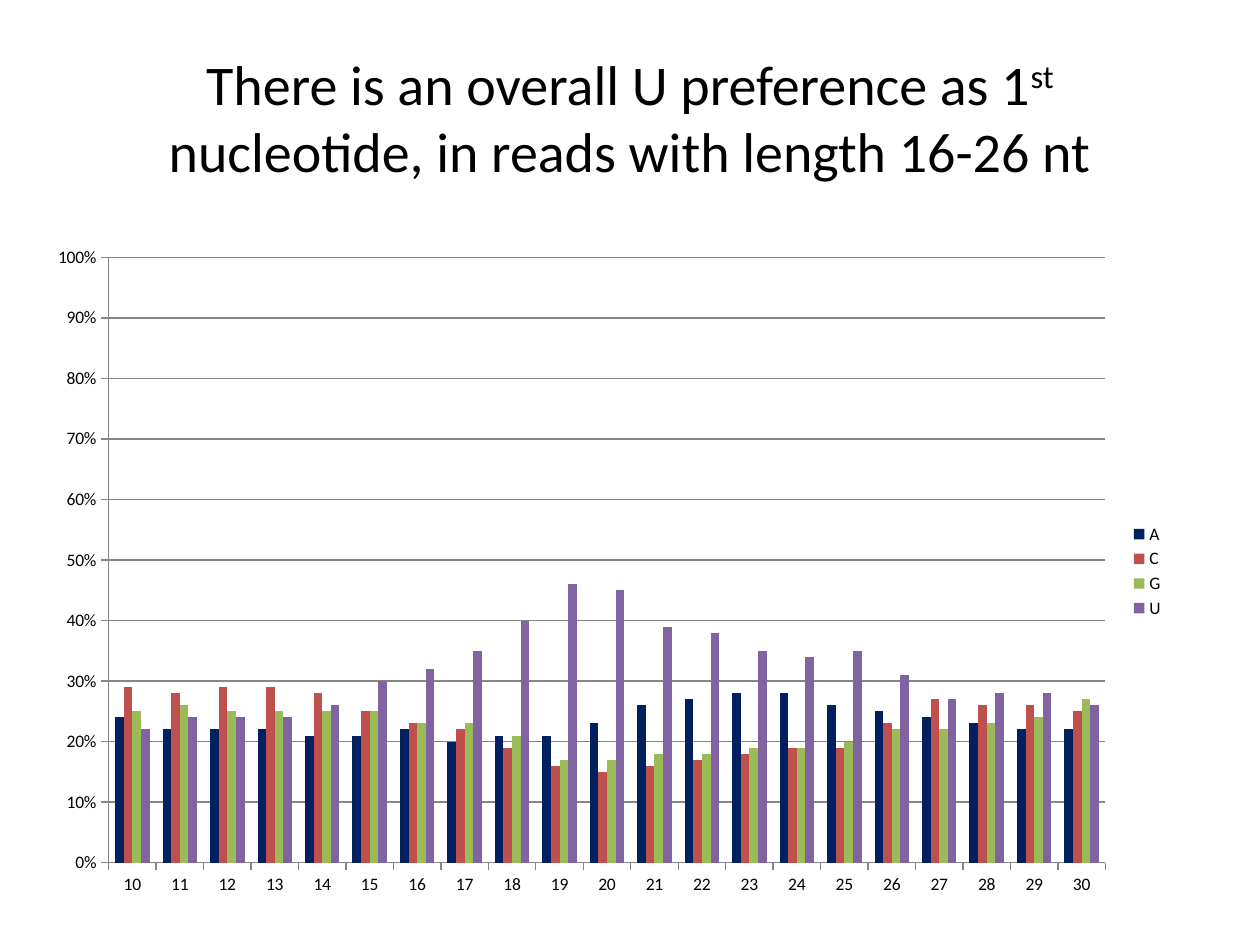
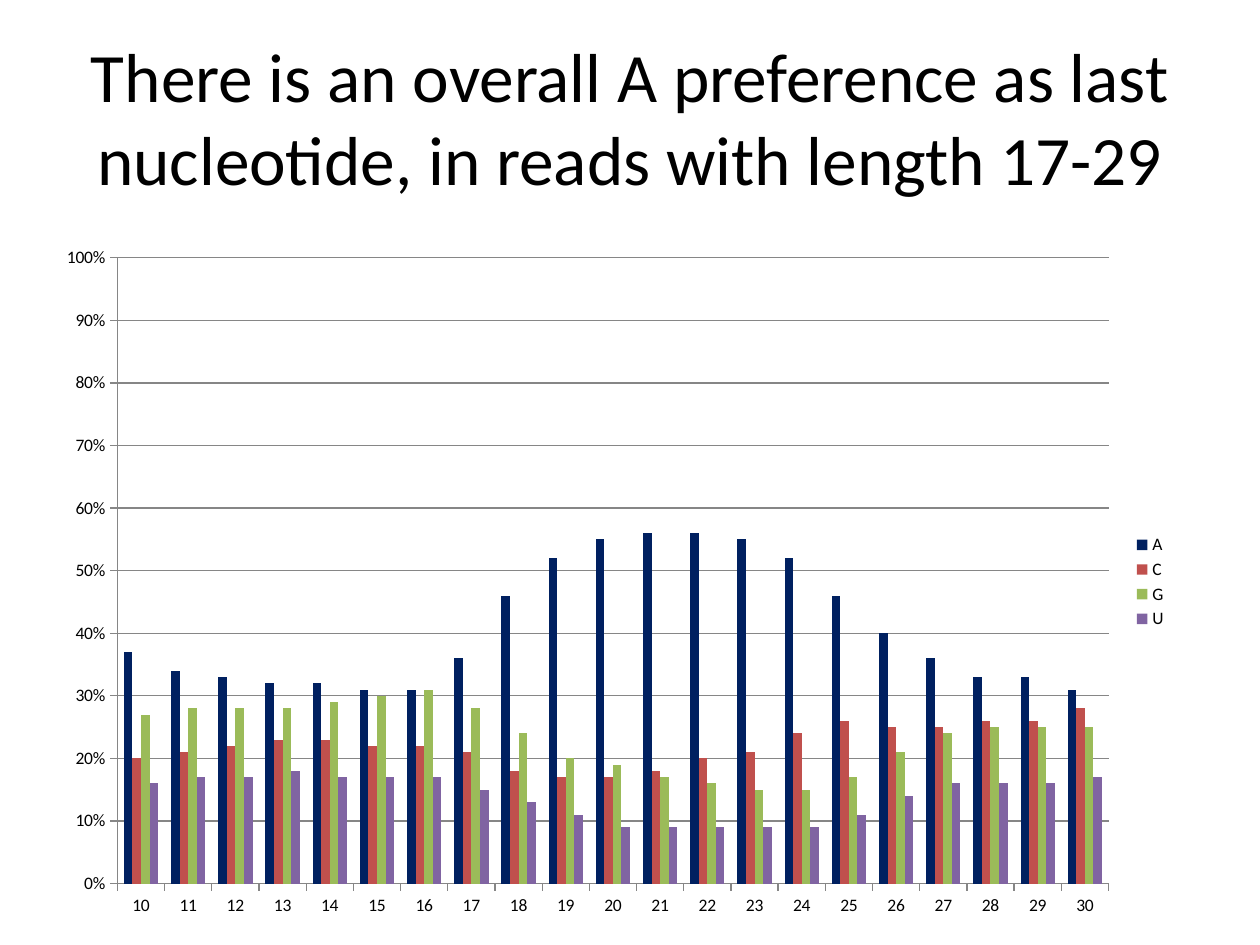
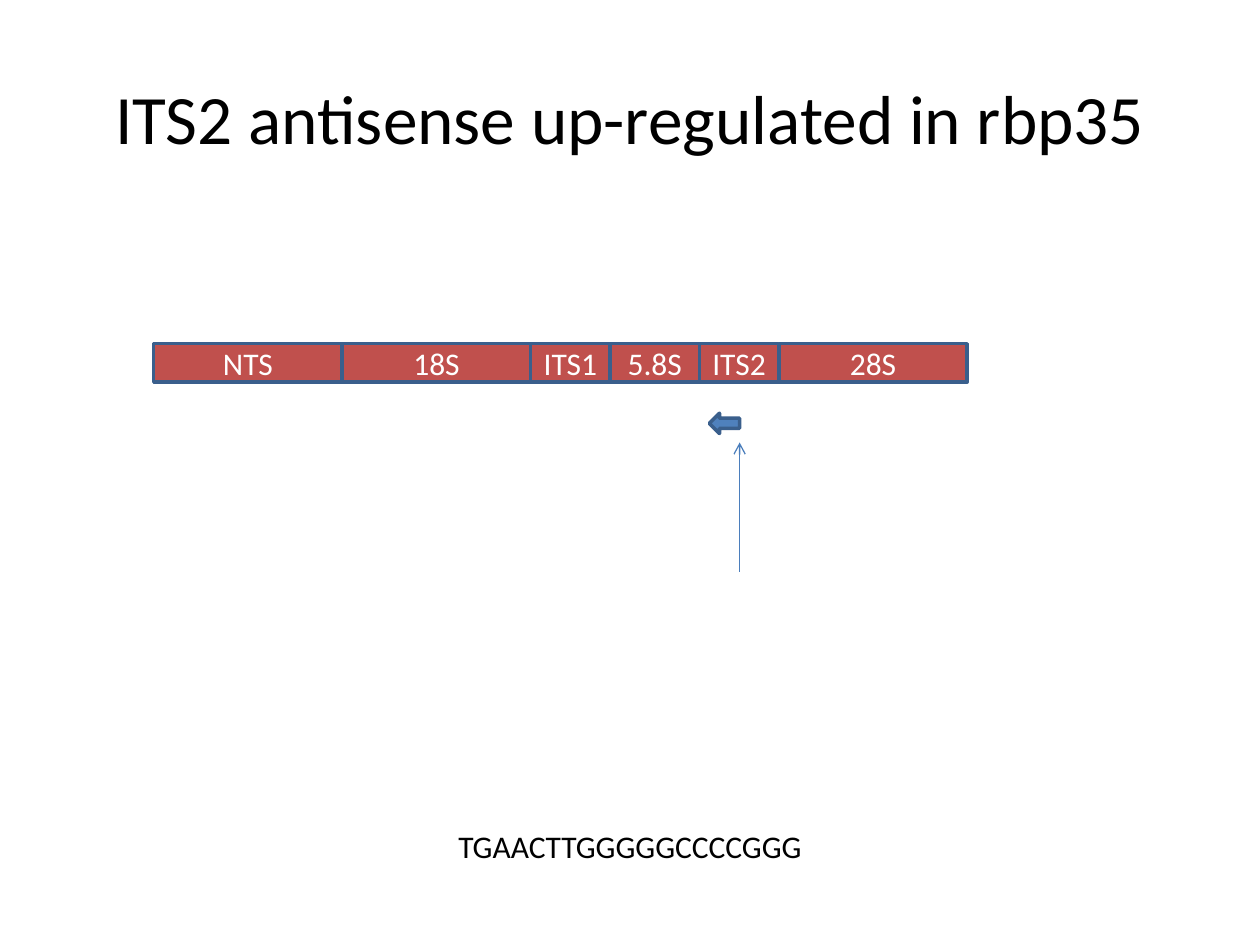
from lxml.etree import SubElement
from pptx import Presentation
from pptx.chart.data import CategoryChartData
from pptx.dml.color import RGBColor
from pptx.enum.chart import XL_CHART_TYPE, XL_LEGEND_POSITION, XL_TICK_MARK
from pptx.enum.shapes import MSO_CONNECTOR, MSO_SHAPE
from pptx.enum.text import MSO_ANCHOR, MSO_AUTO_SIZE, PP_ALIGN
from pptx.oxml.ns import qn
from pptx.util import Cm, Pt

FONT = "Calibri"
BLACK = RGBColor(0x00, 0x00, 0x00)
WHITE = RGBColor(0xFF, 0xFF, 0xFF)
GRAY = RGBColor(0x86, 0x86, 0x86)
NAVY = RGBColor(0x00, 0x20, 0x60)
RED = RGBColor(0xC0, 0x50, 0x4D)
GREEN = RGBColor(0x9B, 0xBB, 0x59)
PURPLE = RGBColor(0x80, 0x64, 0xA2)
BLUE = RGBColor(0x4F, 0x81, 0xBD)
EDGE = RGBColor(0x3A, 0x5F, 0x8C)
ARROW = RGBColor(0x4B, 0x7E, 0xBC)

BASE_COLORS = {"A": NAVY, "C": RED, "G": GREEN, "U": PURPLE}
READ_LENGTHS = [str(n) for n in range(10, 31)]

# Share of reads (%) by nucleotide, for each read length
FIRST_NUCLEOTIDE = {
    "A": [24, 22, 22, 22, 21, 21, 22, 20, 21, 21, 23,
          26, 27, 28, 28, 26, 25, 24, 23, 22, 22],
    "C": [29, 28, 29, 29, 28, 25, 23, 22, 19, 16, 15,
          16, 17, 18, 19, 19, 23, 27, 26, 26, 25],
    "G": [25, 26, 25, 25, 25, 25, 23, 23, 21, 17, 17,
          18, 18, 19, 19, 20, 22, 22, 23, 24, 27],
    "U": [22, 24, 24, 24, 26, 30, 32, 35, 40, 46, 45,
          39, 38, 35, 34, 35, 31, 27, 28, 28, 26],
}
LAST_NUCLEOTIDE = {
    "A": [37, 34, 33, 32, 32, 31, 31, 36, 46, 52, 55,
          56, 56, 55, 52, 46, 40, 36, 33, 33, 31],
    "C": [20, 21, 22, 23, 23, 22, 22, 21, 18, 17, 17,
          18, 20, 21, 24, 26, 25, 25, 26, 26, 28],
    "G": [27, 28, 28, 28, 29, 30, 31, 28, 24, 20, 19,
          17, 16, 15, 15, 17, 21, 24, 25, 25, 25],
    "U": [16, 17, 17, 18, 17, 17, 17, 15, 13, 11, 9,
          9, 9, 9, 9, 11, 14, 16, 16, 16, 17],
}

# Label and width (cm) of each part of the rDNA repeat, left to right
RDNA_SEGMENTS = [("NTS", 3.8), ("18S", 3.8), ("ITS1", 1.6),
                 ("5.8S", 1.8), ("ITS2", 1.6), ("28S", 3.8)]


def set_font(font, size, color):
    font.name = FONT
    font.size = Pt(size)
    font.color.rgb = color


def add_titled_slide(prs, *runs, size=39.6):
    """Add a title-only slide; every second run of the title is superscript."""
    s = prs.slides.add_slide(prs.slide_layouts[5])
    title = s.shapes.title
    title.left, title.top, title.width, title.height = (
        Cm(1.27), Cm(0.76), Cm(22.86), Cm(3.18))
    tf = title.text_frame
    tf.word_wrap = True
    tf.auto_size = MSO_AUTO_SIZE.NONE
    tf.vertical_anchor = MSO_ANCHOR.MIDDLE
    p = tf.paragraphs[0]
    p.alignment = PP_ALIGN.CENTER
    set_font(p.font, size, BLACK)
    for i, text in enumerate(runs):
        r = p.add_run()
        r.text = text
        if i % 2:
            r.font._element.set("baseline", "30000")
    return s


def add_nucleotide_chart(s, shares, left, top, width, height):
    data = CategoryChartData(number_format="0%")
    data.categories = READ_LENGTHS
    for base, values in shares.items():
        data.add_series(base, [v / 100 for v in values])
    chart = s.shapes.add_chart(XL_CHART_TYPE.COLUMN_CLUSTERED, Cm(left), Cm(top),
                               Cm(width), Cm(height), data).chart
    set_font(chart.font, 10, BLACK)
    chart.has_title = False
    chart.has_legend = True
    chart.legend.position = XL_LEGEND_POSITION.RIGHT
    chart.legend.include_in_layout = False

    plot = chart.plots[0]
    plot.gap_width = 150
    plot.overlap = 0
    plot.vary_by_categories = False
    for series in plot.series:
        series.format.fill.solid()
        series.format.fill.fore_color.rgb = BASE_COLORS[series.name]
        series.invert_if_negative = False

    value_axis = chart.value_axis
    value_axis.minimum_scale = 0
    value_axis.maximum_scale = 1
    value_axis.major_unit = 0.1
    value_axis.tick_labels.number_format = "0%"
    value_axis.tick_labels.number_format_is_linked = False
    value_axis.has_major_gridlines = True
    value_axis.major_gridlines.format.line.color.rgb = GRAY
    for axis in (chart.category_axis, value_axis):
        axis.major_tick_mark = XL_TICK_MARK.OUTSIDE
        axis.format.line.color.rgb = GRAY


def add_outlined_shape(s, kind, fill, left, top, width, height):
    sp = s.shapes.add_shape(kind, Cm(left), Cm(top), Cm(width), Cm(height))
    sp.shadow.inherit = False
    sp.fill.solid()
    sp.fill.fore_color.rgb = fill
    sp.line.color.rgb = EDGE
    sp.line.width = Pt(2)
    return sp


def add_rdna_map(s, left, top, height):
    for label, width in RDNA_SEGMENTS:
        sp = add_outlined_shape(s, MSO_SHAPE.RECTANGLE, RED, left, top, width, height)
        tf = sp.text_frame
        tf.margin_left = tf.margin_right = 0
        tf.vertical_anchor = MSO_ANCHOR.MIDDLE
        p = tf.paragraphs[0]
        p.text = label
        p.alignment = PP_ALIGN.CENTER
        set_font(p.font, 18, WHITE)
        left += width


def add_antisense_marker(s, left, top):
    """Small arrow for the antisense read, with a pointer below its right end."""
    width = 0.61
    add_outlined_shape(s, MSO_SHAPE.LEFT_ARROW, BLUE, left, top, width, 0.41)
    x = Cm(left + width)
    pointer = s.shapes.add_connector(MSO_CONNECTOR.STRAIGHT, x, Cm(top + 3.2),
                                     x, Cm(top + 0.59))
    pointer.line.color.rgb = ARROW
    pointer.line.width = Pt(0.75)
    SubElement(pointer.line._get_or_add_ln(), qn("a:tailEnd"), type="arrow")
    SubElement(pointer._element.spPr, qn("a:effectLst"))


def add_sequence(s, text, left, top, width, height):
    tf = s.shapes.add_textbox(Cm(left), Cm(top), Cm(width), Cm(height)).text_frame
    tf.word_wrap = False
    tf.auto_size = MSO_AUTO_SIZE.SHAPE_TO_FIT_TEXT
    p = tf.paragraphs[0]
    p.text = text
    set_font(p.font, 18, BLACK)


def main():
    prs = Presentation()
    prs.slide_width, prs.slide_height = Cm(25.4), Cm(19.05)

    s = add_titled_slide(prs, "There is an overall U preference as 1", "st",
                         " nucleotide, in reads with length 16-26 nt", size=32)
    add_nucleotide_chart(s, FIRST_NUCLEOTIDE, 0.71, 4.72, 23.01, 13.59)

    s = add_titled_slide(prs, "There is an overall A preference as last "
                              "nucleotide, in reads with length 17-29")
    add_nucleotide_chart(s, LAST_NUCLEOTIDE, 0.89, 4.72, 22.89, 14.02)

    s = add_titled_slide(prs, "ITS2 antisense up-regulated in rbp35")
    add_rdna_map(s, 3.1, 6.93, 0.77)
    add_sequence(s, "TGAACTTGGGGGCCCCGGG", 8.99, 16.54, 7.52, 1.02)
    add_antisense_marker(s, 14.3, 8.33)

    prs.save("out.pptx")


if __name__ == "__main__":
    main()
